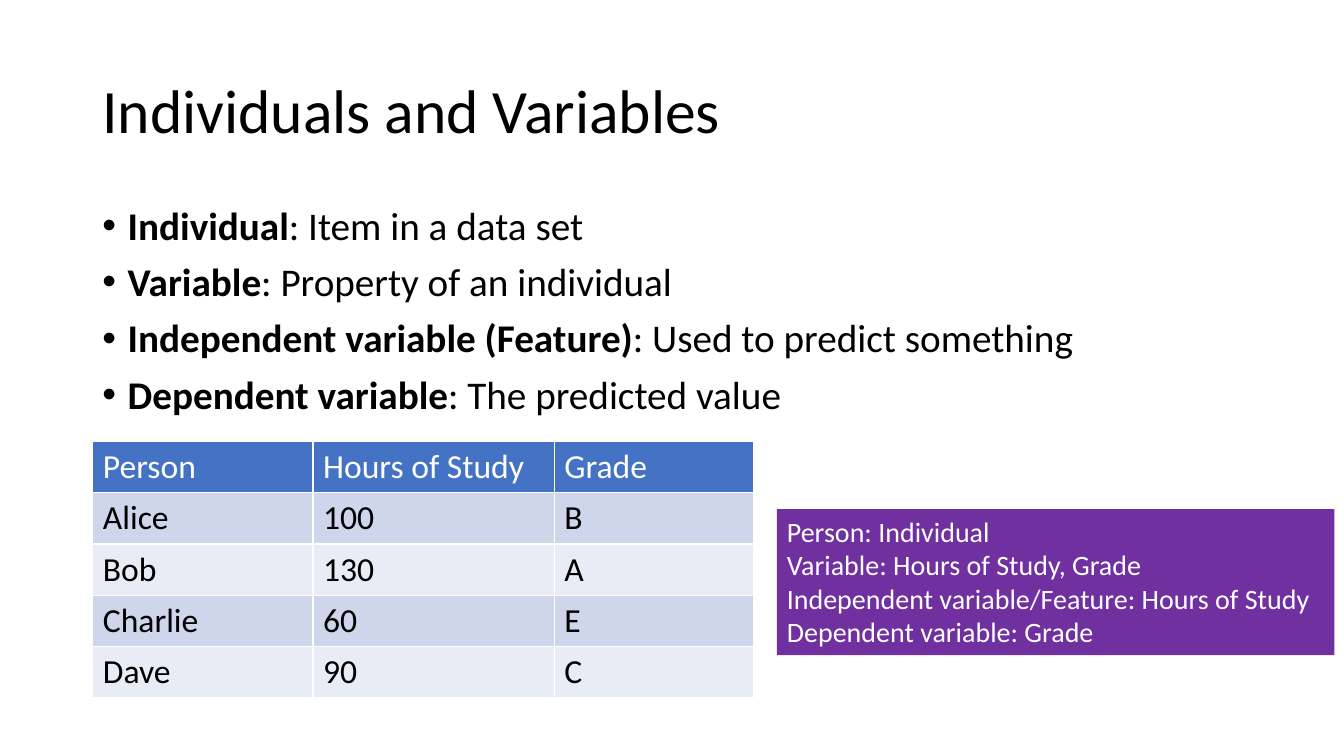
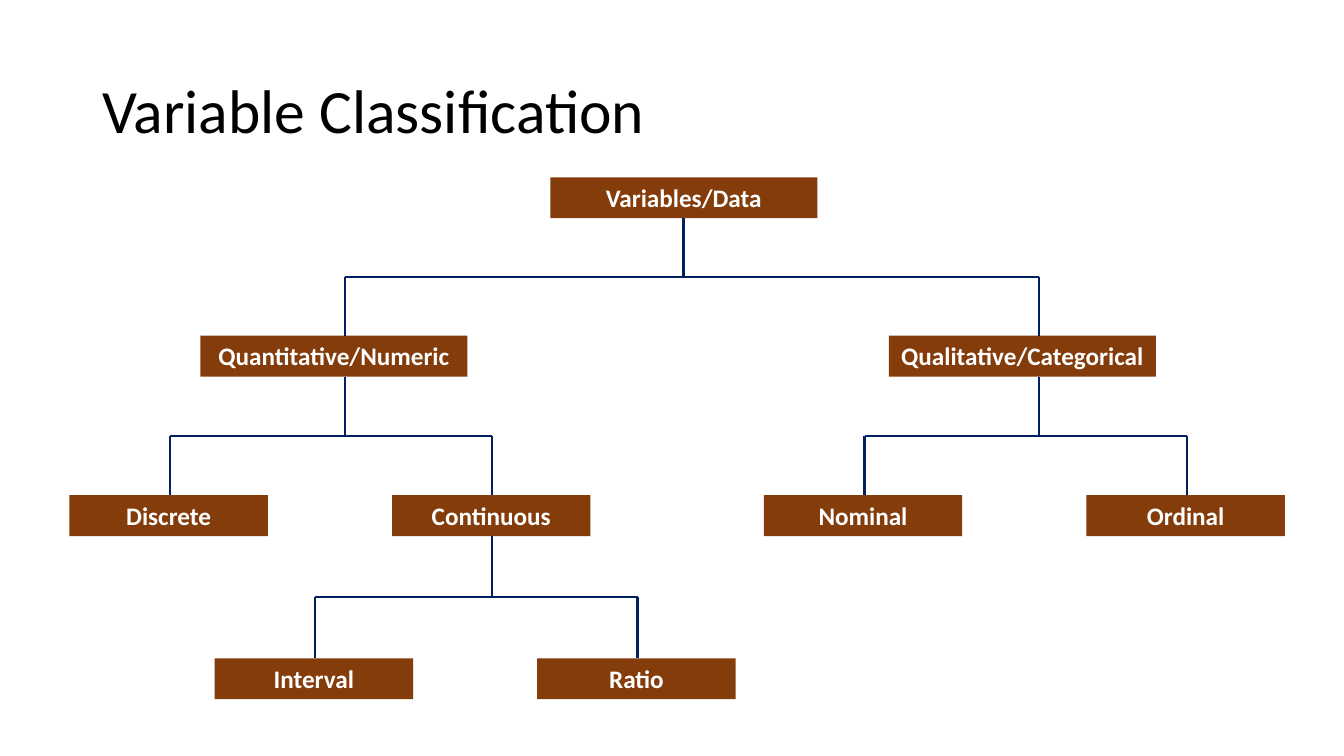
from lxml.etree import SubElement
from pptx import Presentation
from pptx.dml.color import RGBColor
from pptx.enum.shapes import MSO_CONNECTOR
from pptx.enum.text import MSO_ANCHOR, PP_ALIGN
from pptx.oxml.ns import qn
from pptx.util import Cm, Pt

COLORS = {
    "text": "000000", "white": "FFFFFF", "header": "4472C4",
    "band1": "CFD5EA", "band2": "E9EBF5", "note": "7030A0",
    "node": "843C0B", "line": "002060",
}
RGB = {name: RGBColor.from_string(value) for name, value in COLORS.items()}
FONTS = {
    "title": {"size": Pt(44), "bold": False, "color": "text"},
    "body": {"size": Pt(28), "bold": False, "color": "text"},
    "header": {"size": Pt(24), "bold": False, "color": "white"},
    "cell": {"size": Pt(24), "bold": False, "color": "text"},
    "note": {"size": Pt(20), "bold": False, "color": "white"},
    "node": {"size": Pt(18), "bold": True, "color": "white"},
}
TITLES = ["Individuals and Variables", "Variable Classification"]


def add_run(p, text, style, **extra):
    r = p.add_run()
    r.text = text
    r.font.name = "Calibri"
    for key, value in {**FONTS[style], **extra}.items():
        if key == "color":
            r.font.color.rgb = RGB[value]
        else:
            setattr(r.font, key, value)


def add_box(s, box, lines, style, fill=None, anchor=MSO_ANCHOR.TOP, **para):
    sp = s.shapes.add_textbox(*map(Cm, box))
    if fill:
        sp.fill.solid()
        sp.fill.fore_color.rgb = RGB[fill]
    tf = sp.text_frame
    tf.word_wrap = True
    tf.vertical_anchor = anchor
    for i, runs in enumerate(lines):
        p = tf.add_paragraph() if i else tf.paragraphs[0]
        for key, value in para.items():
            setattr(p, key, value)
        for text, extra in runs:
            add_run(p, text, style, **extra)
    return tf


prs = Presentation()
prs.slide_width, prs.slide_height = Cm(33.87), Cm(19.05)
slides = []
for title in TITLES:
    s = prs.slides.add_slide(prs.slide_layouts[6])
    add_box(s, (2.33, 1.01, 29.21, 3.68), [[(title, {})]], "title",
            anchor=MSO_ANCHOR.MIDDLE, line_spacing=0.9)
    slides.append(s)
s1, s2 = slides

TERMS = {
    "Individual": "Item in a data set",
    "Variable": "Property of an individual",
    "Independent variable (Feature)": "Used to predict something",
    "Dependent variable": "The predicted value",
}
lines = [[(term, {"bold": True}), (f": {meaning}", {})] for term, meaning in TERMS.items()]
tf = add_box(s1, (2.33, 5.07, 29.21, 6), lines, "body",
             line_spacing=0.9, space_before=Pt(10))
for p in tf.paragraphs:
    pPr = p._p.get_or_add_pPr()
    pPr.set("marL", str(Cm(0.64)))
    pPr.set("indent", str(-Cm(0.64)))
    SubElement(pPr, qn("a:buFont")).set("typeface", "Arial")
    SubElement(pPr, qn("a:buChar")).set("char", "•")

ROWS = [
    ("Person", "Hours of Study", "Grade"),
    ("Alice", "100", "B"),
    ("Bob", "130", "A"),
    ("Charlie", "60", "E"),
    ("Dave", "90", "C"),
]
WIDTHS = [5.55, 6.08, 5.03]
ROW_H = 1.29
table = s1.shapes.add_table(len(ROWS), len(WIDTHS), Cm(2.34), Cm(11.13),
                            Cm(sum(WIDTHS)), Cm(ROW_H * len(ROWS))).table
for col, width in zip(table.columns, WIDTHS):
    col.width = Cm(width)
for i, row in enumerate(ROWS):
    table.rows[i].height = Cm(ROW_H)
    fill = ("band1" if i % 2 else "band2") if i else "header"
    for j, text in enumerate(row):
        cell = table.cell(i, j)
        cell.fill.solid()
        cell.fill.fore_color.rgb = RGB[fill]
        add_run(cell.text_frame.paragraphs[0], text, "cell" if i else "header")

NOTES = [
    "Person: Individual",
    "Variable: Hours of Study, Grade",
    "Independent variable/Feature: Hours of Study",
    "Dependent variable: Grade",
]
add_box(s1, (19.58, 12.83, 14.05, 3.68), [[(note, {})] for note in NOTES], "note", "note")

NODE_H = 1.03
WIDE, NARROW = 6.73, 5
TOPS = [4.47, 8.46, 12.48, 16.59]
NODES = {
    "Variables/Data": (0, 13.87, 17.23, WIDE),
    "Quantitative/Numeric": (1, 5.05, 8.7, WIDE),
    "Qualitative/Categorical": (1, 22.4, 26.18, WIDE),
    "Discrete": (2, 1.75, 4.28, NARROW),
    "Continuous": (2, 9.88, 12.4, NARROW),
    "Nominal": (2, 19.25, 21.79, NARROW),
    "Ordinal": (2, 27.38, 29.91, NARROW),
    "Interval": (3, 5.41, 7.94, NARROW),
    "Ratio": (3, 13.54, 16.07, NARROW),
}
BRANCHES = {
    "Variables/Data": ("Quantitative/Numeric", "Qualitative/Categorical"),
    "Quantitative/Numeric": ("Discrete", "Continuous"),
    "Qualitative/Categorical": ("Nominal", "Ordinal"),
    "Continuous": ("Interval", "Ratio"),
}
for text, (level, left, stem, width) in NODES.items():
    add_box(s2, (left, TOPS[level], width, NODE_H), [[(text, {})]], "node", "node",
            alignment=PP_ALIGN.CENTER)

for parent, children in BRANCHES.items():
    level, _, stem, _ = NODES[parent]
    bottom, top = TOPS[level] + NODE_H, TOPS[level + 1]
    bar = (bottom + top) / 2
    xs = [NODES[child][2] for child in children]
    segments = [(stem, bottom, stem, bar), (xs[0], bar, xs[-1], bar)]
    segments += [(x, bar, x, top) for x in xs]
    for segment in segments:
        line = s2.shapes.add_connector(MSO_CONNECTOR.STRAIGHT, *map(Cm, segment))
        line.line.color.rgb = RGB["line"]
        line.line.width = Pt(1.75)
        SubElement(line._element.spPr, qn("a:effectLst"))

prs.save("out.pptx")
